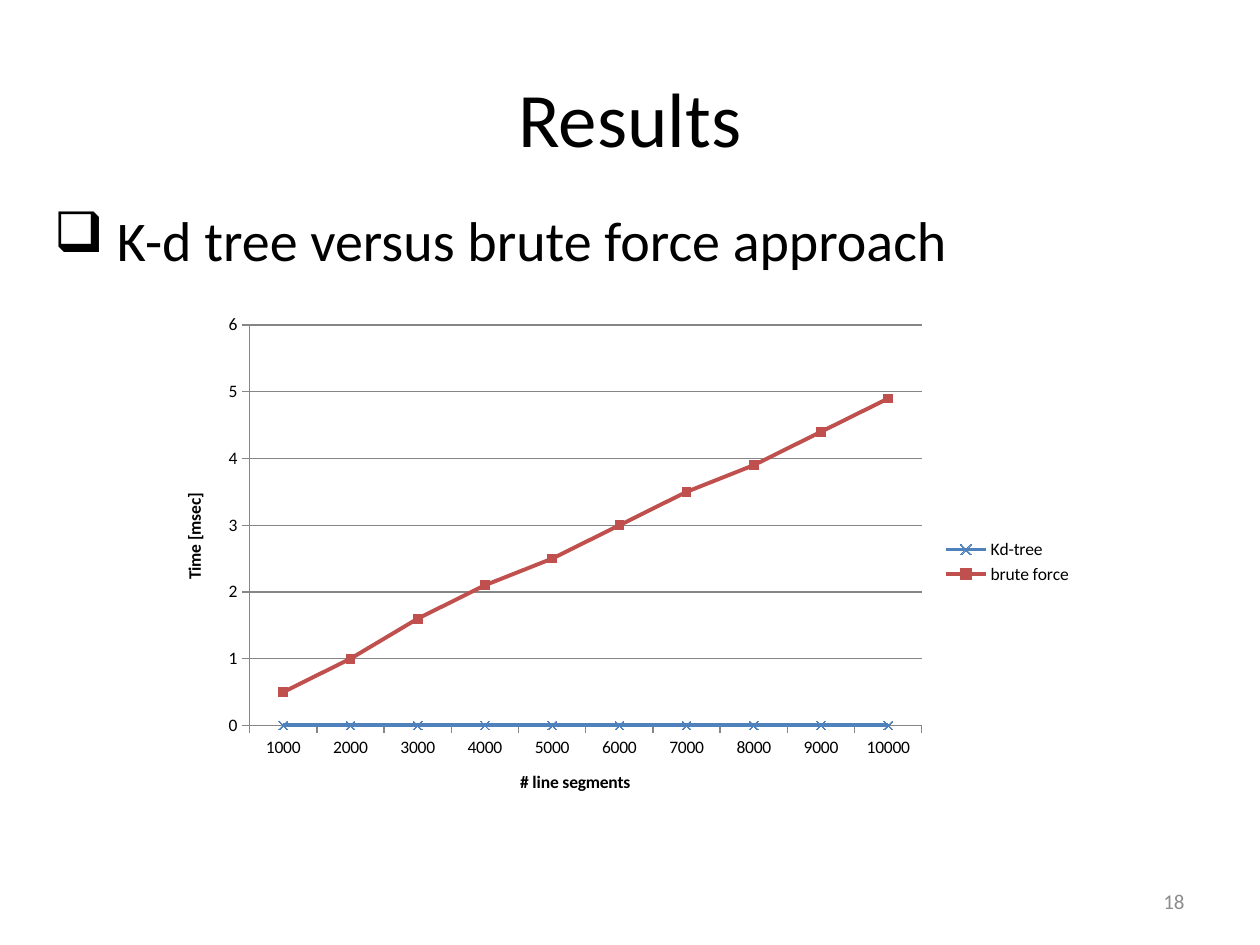
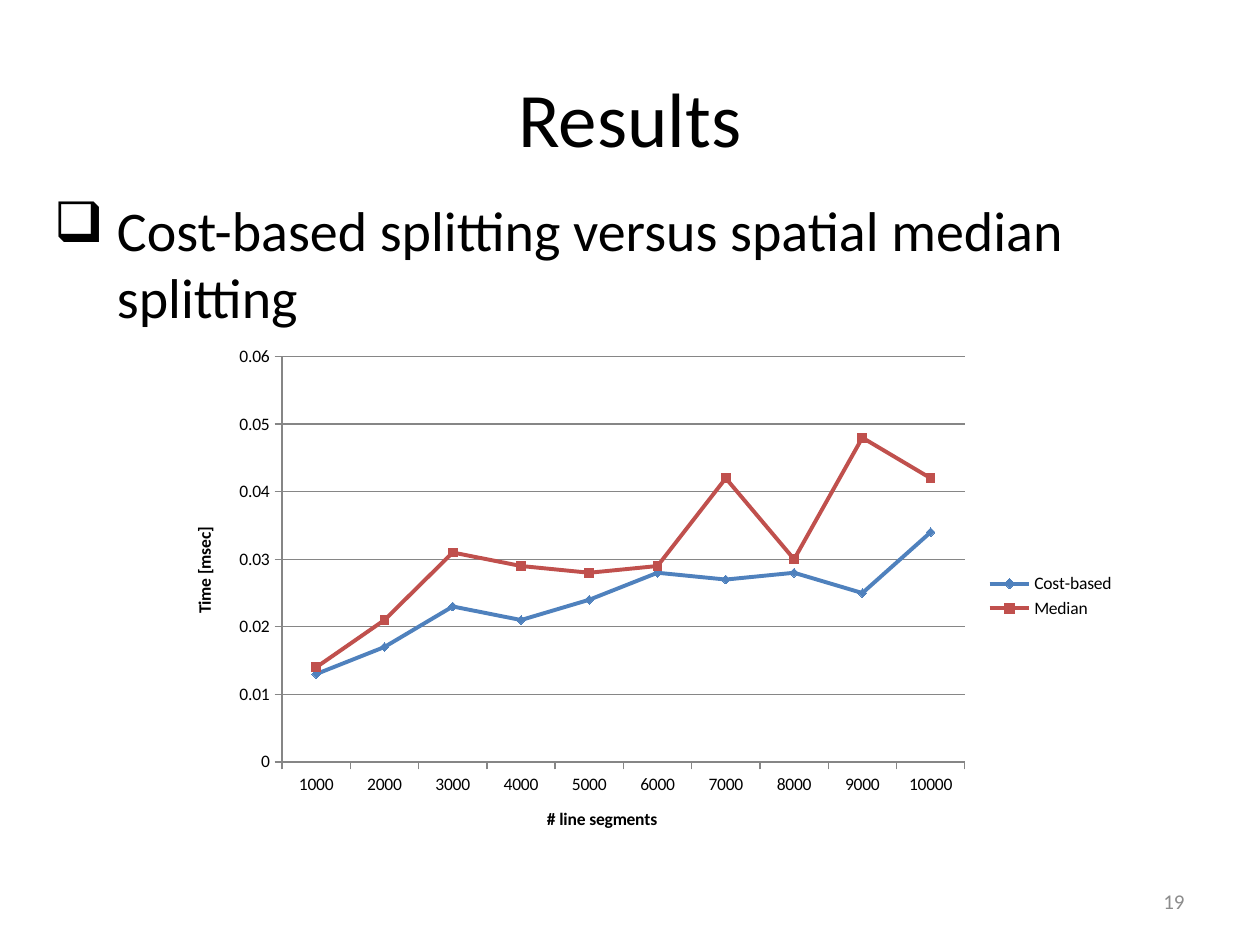
"""Build two result slides, each with a heading, a bullet and a line chart."""
import pptx
import pptx.chart.data
import pptx.dml.color
import pptx.enum.chart
import pptx.enum.text
import pptx.oxml
import pptx.oxml.ns
import pptx.util
from dataclasses import dataclass

Inches, Pt = pptx.util.Inches, pptx.util.Pt
Align, Anchor = pptx.enum.text.PP_ALIGN, pptx.enum.text.MSO_ANCHOR
Mark = pptx.enum.chart.XL_MARKER_STYLE

HEAD = "Results"
AXES = ("# line segments", "Time [msec]")
SIZES = [str(1000 * step) for step in range(1, 11)]
SLIDES = [
    {
        "page": 18,
        "point": "K-d tree versus brute force approach",
        "point_box": (0.33, 1.58, 9.33, 0.64),
        "chart_box": (1.25, 2.42, 7.36, 4.08),
        "lines": [
            ("Kd-tree", Mark.X, [0] * 10),
            ("brute force", Mark.SQUARE,
             [0.5, 1, 1.6, 2.1, 2.5, 3, 3.5, 3.9, 4.4, 4.9]),
        ],
    },
    {
        "page": 19,
        "point": "Cost-based splitting versus spatial median splitting",
        "point_box": (0.33, 1.5, 9.33, 1.18),
        "chart_box": (1.33, 2.67, 7.62, 4.12),
        "lines": [
            ("Cost-based", Mark.DIAMOND,
             [0.013, 0.017, 0.023, 0.021, 0.024, 0.028, 0.027, 0.028, 0.025, 0.034]),
            ("Median", Mark.SQUARE,
             [0.014, 0.021, 0.031, 0.029, 0.028, 0.029, 0.042, 0.03, 0.048, 0.042]),
        ],
    },
]


@dataclass(frozen=True)
class Theme:
    font: str = "Calibri"
    ink: str = "000000"
    gray: str = "8C8C8C"
    rule: str = "868686"
    hues: tuple = ("4F81BD", "C0504D")
    head: int = 44
    point: int = 32
    page: int = 12
    chart: int = 10
    line: float = 2.25
    head_box: tuple = (0.5, 0.3, 9, 1.25)
    page_box: tuple = (7.17, 6.95, 2.33, 0.4)


THEME = Theme()


def rgb(code):
    return pptx.dml.color.RGBColor.from_string(code)


def style(font, size, color=THEME.ink, bold=False):
    font.name, font.size, font.bold = THEME.font, Pt(size), bold
    font.color.rgb = rgb(color)


def add_text(slide, box, text, size, align, anchor=Anchor.MIDDLE, color=THEME.ink):
    frame = slide.shapes.add_textbox(*map(Inches, box)).text_frame
    frame.word_wrap, frame.vertical_anchor = True, anchor
    frame.text = text
    para = frame.paragraphs[0]
    para.alignment = align
    style(para.runs[0].font, size, color)
    return para


def add_point(slide, box, text):
    para = add_text(slide, box, text, THEME.point, Align.LEFT, Anchor.TOP)
    props = para._p.get_or_add_pPr()
    props.set("marL", str(Inches(0.5)))
    props.set("indent", str(Inches(-0.5)))
    mark = pptx.oxml.parse_xml(
        f'<a:buChar {pptx.oxml.ns.nsdecls("a")} char="❑"/>')
    props.append(mark)


def set_axis(axis, title):
    axis.major_tick_mark = pptx.enum.chart.XL_TICK_MARK.OUTSIDE
    axis.minor_tick_mark = pptx.enum.chart.XL_TICK_MARK.NONE
    axis.format.line.color.rgb = rgb(THEME.rule)
    frame = axis.axis_title.text_frame
    frame.text = title
    style(frame.paragraphs[0].runs[0].font, THEME.chart, bold=True)
    return frame


def add_chart(slide, box, lines):
    data = pptx.chart.data.CategoryChartData()
    data.categories = SIZES
    for name, _, vals in lines:
        data.add_series(name, vals)
    chart = slide.shapes.add_chart(
        pptx.enum.chart.XL_CHART_TYPE.LINE_MARKERS, *map(Inches, box), data).chart
    style(chart.font, THEME.chart)
    chart.has_title = False
    chart.has_legend = True
    chart.legend.position = pptx.enum.chart.XL_LEGEND_POSITION.RIGHT
    chart.legend.include_in_layout = False

    set_axis(chart.category_axis, AXES[0])
    side = set_axis(chart.value_axis, AXES[1])
    side._txBody.bodyPr.set("rot", "-5400000")
    chart.value_axis.has_major_gridlines = True
    chart.value_axis.major_gridlines.format.line.color.rgb = rgb(THEME.rule)

    plot = chart.plots[0]
    plot.vary_by_categories = False
    for series, (_, mark, _), hue in zip(plot.series, lines, THEME.hues):
        series.smooth = False
        series.format.line.color.rgb = rgb(hue)
        series.format.line.width = Pt(THEME.line)
        series.marker.style, series.marker.size = mark, 5
        series.marker.format.line.color.rgb = rgb(hue)
        fill = series.marker.format.fill
        if mark == Mark.X:
            fill.background()
        else:
            fill.solid()
            fill.fore_color.rgb = rgb(hue)


def main():
    deck = pptx.Presentation()
    deck.slide_width, deck.slide_height = Inches(10), Inches(7.5)
    for item in SLIDES:
        slide = deck.slides.add_slide(deck.slide_layouts[6])
        add_text(slide, THEME.head_box, HEAD, THEME.head, Align.CENTER)
        add_text(slide, THEME.page_box, str(item["page"]), THEME.page,
                 Align.RIGHT, color=THEME.gray)
        add_chart(slide, item["chart_box"], item["lines"])
        add_point(slide, item["point_box"], item["point"])
    deck.save("out.pptx")


if __name__ == "__main__":
    main()
